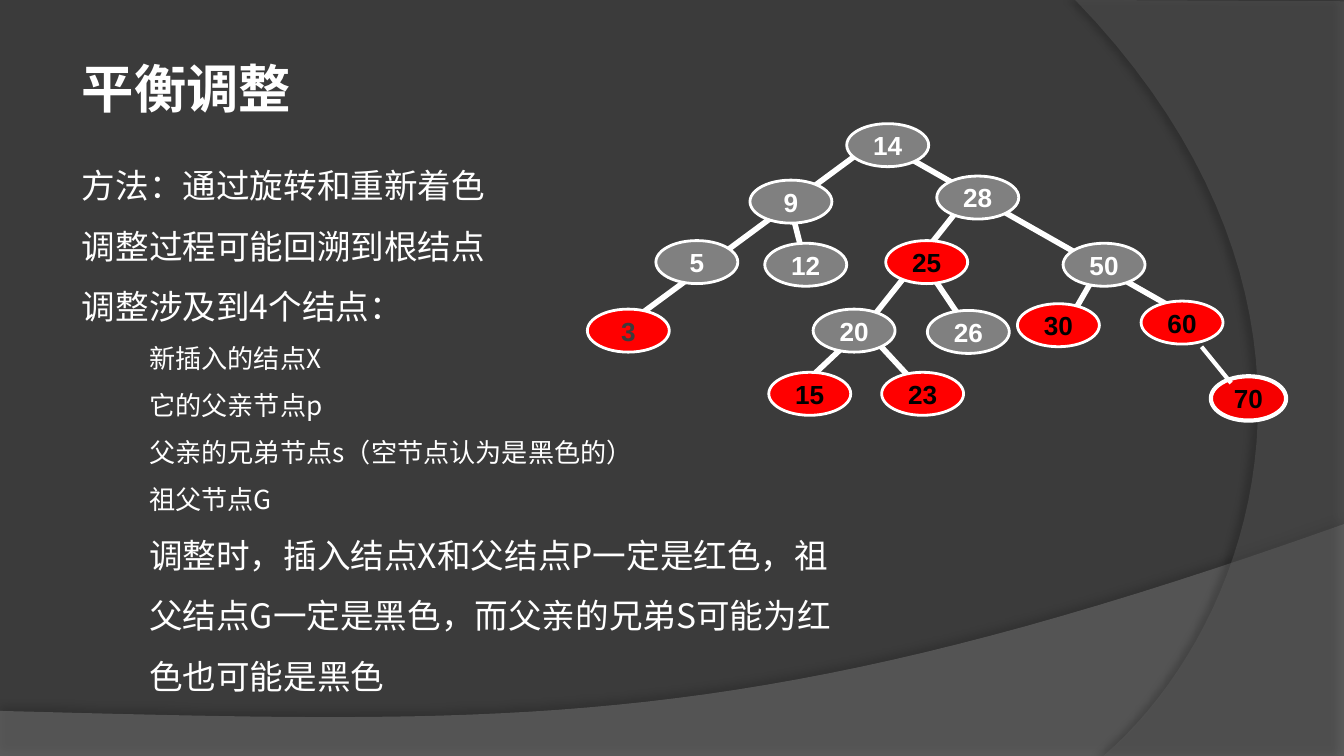
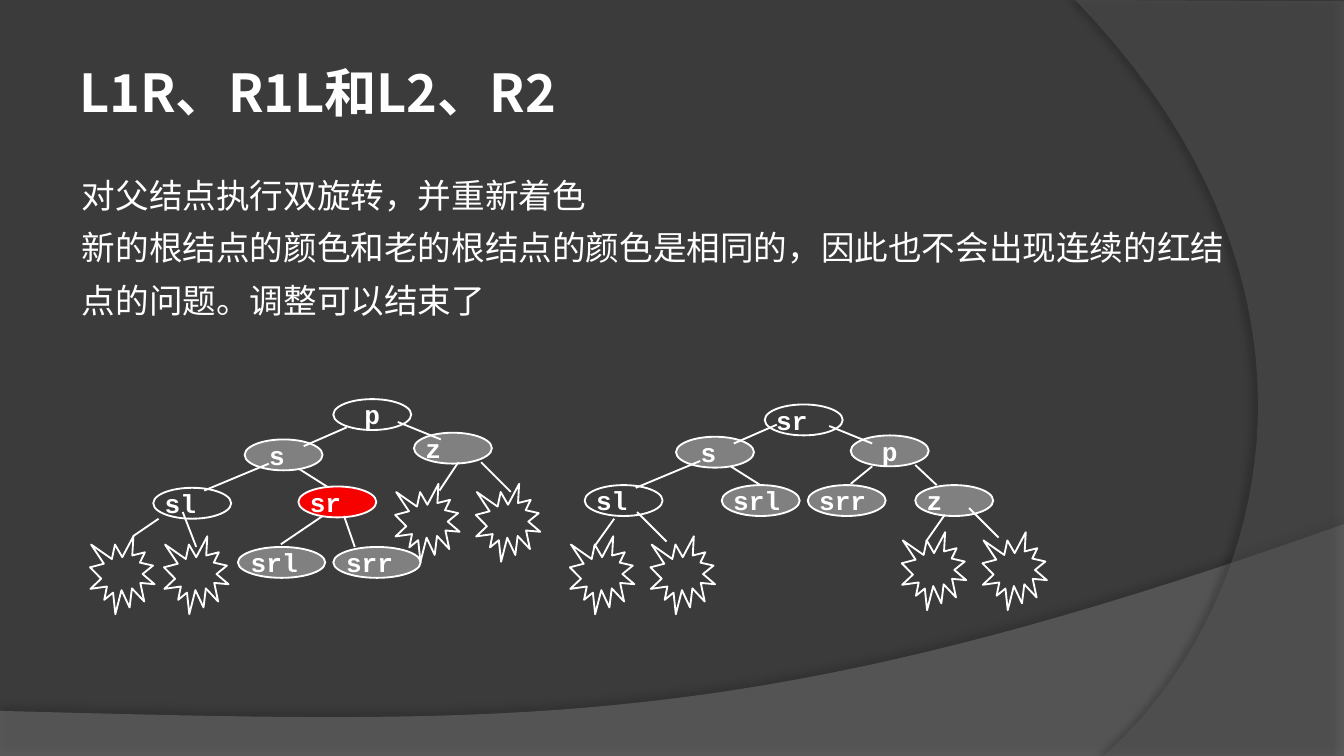
from dataclasses import dataclass
from typing import Any, Optional

import pptx
import pptx.dml.color
import pptx.enum.shapes
import pptx.enum.text
import pptx.oxml.ns
import pptx.util
from lxml import etree

ALIGN = pptx.enum.text.PP_ALIGN
ANCHOR = pptx.enum.text.MSO_ANCHOR
SHAPE = pptx.enum.shapes.MSO_SHAPE
qn = pptx.oxml.ns.qn
COLUMNS = 100
WIDTH = pptx.util.Inches(10)
HEIGHT = pptx.util.Inches(5.625)


@dataclass(frozen=True)
class Theme:
    ground: str = "3B3B3B"
    text: str = "FFFFFF"
    dark: str = "000000"
    black_node: str = "808080"
    red_node: str = "FF0000"
    deep_red: str = "F60000"
    bottom_wave: str = "7F7F7F"
    side_wave: str = "5E5E5E"
    cjk: str = "Noto Sans CJK SC"
    serif: str = "Times New Roman"
    sans: str = "Arial"
    mono: str = "Courier New"
    title_size: float = 28
    body_size: float = 18
    small_size: float = 14


THEME = Theme()


@dataclass(frozen=True)
class Wave:
    """A corner outline: straight points, then one Bezier curve from the last of them."""
    color: str
    opacity: int
    corners: tuple
    curve: tuple
    shadow_opacity: int
    shadow_distance: float
    shadow_angle: int


@dataclass(frozen=True)
class Line:
    text: str
    size: float = THEME.body_size
    level: int = 0
    indent: float = 0


@dataclass(frozen=True)
class NodeStyle:
    width: float
    height: float
    outline: float
    font: str
    inset: float = 0
    align: Any = ALIGN.CENTER


@dataclass(frozen=True)
class Node:
    label: str
    x: float
    y: float
    style: NodeStyle
    fill: Optional[str] = None
    ink: str = THEME.text


@dataclass(frozen=True)
class Subtrees:
    """Two burst shapes that stand for the subtrees of one node."""
    x: float
    y: float
    step: float = 6


WAVES = (
    Wave(THEME.bottom_wave, 45, ((0, 52.9), (0, 56.25), (100, 56.25), (100, 39)),
         ((55.9, 54.7), (39.1, 53.9), (0, 52.9)), 35, 3.5, 270),
    Wave(THEME.side_wave, 40, ((80, 0), (100, 0.1), (100, 56.25), (82.1, 56.25)),
         ((93.5, 46.4), (101.8, 22.5), (80, 0)), 45, 4, 180),
)

NUMBER = NodeStyle(6.1, 3.2, 1.5, THEME.sans, 1)
NEW_NUMBER = NodeStyle(5.6, 3.3, 2.25, THEME.sans)
CENTRED = NodeStyle(5.8, 2.3, 1, THEME.mono)
LEFT = NodeStyle(5.8, 2.3, 1, THEME.mono, 0, ALIGN.JUSTIFY)
INSET = NodeStyle(5.8, 2.3, 1, THEME.mono, 1, ALIGN.JUSTIFY)
WIDE = NodeStyle(6.5, 2.3, 1, THEME.mono, 0, ALIGN.JUSTIFY)

NUMBER_EDGES = (
    (63.9, 24, 69, 29.5), (68.6, 19.4, 72.3, 24.9), (82.1, 19.4, 79.1, 24.6),
    (63.5, 25.1, 58.8, 29.5), (58.8, 15.3, 60.1, 20.4), (72, 14.7, 63.9, 24.9),
    (67, 11.4, 89.2, 24), (63.9, 11.4, 45.6, 24.9),
)
BLACK_NUMBERS = (
    ("14", 63, 9.2), ("12", 56.9, 18.1), ("5", 48.8, 17.9), ("9", 55.8, 13.4),
    ("28", 69.7, 13.1), ("26", 69, 23.1), ("50", 79.1, 18.1), ("20", 60.5, 23),
)
RED_NUMBERS = (("15", 57.2, 27.7), ("60", 84.9, 22.4), ("25", 65.9, 17.9),
               ("30", 75.7, 22.6), ("23", 65.6, 27.7))
NUMBER_TREE = (
    *NUMBER_EDGES,
    *(Node(*n, NUMBER, THEME.black_node) for n in BLACK_NUMBERS),
    Node("3", 43.7, 23, NUMBER, THEME.red_node, THEME.ground),
    *(Node(*n, NUMBER, THEME.red_node, THEME.dark) for n in RED_NUMBERS),
)
NEW_LEAF = (Node("70", 90.1, 28, NEW_NUMBER, THEME.deep_red, THEME.dark),
            (89.4, 25.8, 91.6, 28.5))

BEFORE_ROTATION = (
    (21, 34.1, 24.8, 36.5),
    Node("p", 24.8, 29.7, CENTRED),
    Node("sr", 22.2, 36.2, LEFT, THEME.deep_red),
    Node("sl", 11.4, 36.3, LEFT),
    Node("s", 18.2, 32.7, INSET, THEME.black_node),
    Node("z", 30.8, 32.2, LEFT, THEME.black_node),
    Node("srl", 17.7, 40.7, WIDE, THEME.black_node),
    Node("srr", 24.8, 40.7, WIDE, THEME.black_node),
    (25.8, 31.8, 22.6, 33.2), (20, 34.5, 15.2, 36.5), (29.6, 31.4, 32.8, 32.7),
    (24, 38.4, 20.9, 40.5), (25.6, 38.4, 26.4, 40.7),
    Subtrees(29.4, 36), (34.1, 34.4, 32.7, 36.5), (35.8, 34.4, 38, 36.6),
    Subtrees(6.7, 39.9, 5.5), (11.8, 38.6, 9.9, 39.9), (13.6, 38.1, 14.6, 40.7),
)
AFTER_ROTATION = (
    (53.1, 33.9, 56.9, 36.3),
    Node("p", 63.3, 32.4, CENTRED, THEME.black_node),
    Node("sr", 56.9, 30.1, LEFT),
    Node("sl", 43.5, 36.1, LEFT),
    Node("s", 50.3, 32.5, INSET, THEME.black_node),
    Node("z", 68.1, 36.1, LEFT, THEME.black_node),
    Node("srl", 53.7, 36.1, LEFT, THEME.black_node),
    Node("srr", 60.1, 36.1, LEFT, THEME.black_node),
    (57.8, 31.6, 54.6, 33), (52.1, 34.3, 47.3, 36.3), (61.7, 31.7, 64.9, 33),
    (64.9, 34.7, 63.3, 36), (68.1, 34.6, 69.7, 36.1),
    Subtrees(67.1, 39.6), (70.3, 38.3, 68.9, 40.3), (72.1, 37.8, 74.3, 40),
    Subtrees(42.4, 39.9), (45.7, 38.6, 44.2, 40.7), (47.4, 38.1, 49.6, 40.3),
)

METHOD_LINES = (
    Line("方法：通过旋转和重新着色"),
    Line("调整过程可能回溯到根结点"),
    Line("调整涉及到4个结点："),
    *(Line(t, THEME.small_size, 1, 5) for t in (
        "新插入的结点X", "它的父亲节点p", "父亲的兄弟节点s（空节点认为是黑色的）", "祖父节点G")),
    Line("调整时，插入结点X和父结点P一定是红色，祖父结点G一定是黑色，"
         "而父亲的兄弟S可能为红色也可能是黑色", indent=5),
)
ROTATION_LINES = (
    Line("对父结点执行双旋转，并重新着色"),
    Line("新的根结点的颜色和老的根结点的颜色是相同的，因此也不会出现连续的红结点的问题。调整可以结束了"),
)


def cells(n: float) -> int:
    """Length of n square grid cells, 100 of which span the slide."""
    return round(n * WIDTH / COLUMNS)


def rgb(color: str) -> Any:
    return pptx.dml.color.RGBColor.from_string(color)


def assign(obj: Any, formats: dict) -> None:
    for name, value in formats.items():
        setattr(obj, name, value)


def write(p: Any, text: str, font: str, size: float, color: str, bold: bool) -> Any:
    r = p.add_run()
    r.text = text
    assign(r.font, dict(name=font, size=pptx.util.Pt(size), bold=bold))
    r.font.color.rgb = rgb(color)
    return r


def write_cjk(p: Any, text: str, font: str, size: float, bold: bool = False) -> None:
    r = write(p, text, font, size, THEME.text, bold)
    etree.SubElement(r.font._element, qn("a:ea"), typeface=THEME.cjk)


def place(sp: Any, left: float, top: float, width: float, height: float) -> None:
    assign(sp, dict(left=cells(left), top=cells(top), width=cells(width), height=cells(height)))
    assign(sp.text_frame, dict(word_wrap=True, vertical_anchor=ANCHOR.TOP,
                               auto_size=pptx.enum.text.MSO_AUTO_SIZE.SHAPE_TO_FIT_TEXT))


def add_title(s: Any, text: str, left: float, top: float) -> None:
    sp = s.shapes.title
    place(sp, left, top, 45.1, 5.7)
    p = sp.text_frame.paragraphs[0]
    p.alignment = ALIGN.LEFT
    write_cjk(p, text, THEME.cjk, THEME.title_size, True)


def add_body(s: Any, lines: tuple, box: tuple, font: str, spacing: float) -> None:
    sp = s.placeholders[1]
    place(sp, *box)
    tf = sp.text_frame
    for i, line in enumerate(lines):
        p = tf.add_paragraph() if i else tf.paragraphs[0]
        pPr = p._p.get_or_add_pPr()
        etree.SubElement(pPr, qn("a:buNone"))
        pPr.set("marL", str(cells(line.indent)))
        pPr.set("indent", "0")
        assign(p, dict(level=line.level, alignment=ALIGN.LEFT, line_spacing=spacing,
                       space_before=pptx.util.Pt(0), space_after=pptx.util.Pt(0)))
        write_cjk(p, line.text, font, line.size)


def add_edge(shapes: Any, ends: tuple, weight: float) -> None:
    c = shapes.add_connector(pptx.enum.shapes.MSO_CONNECTOR.STRAIGHT, *map(cells, ends))
    c.line.color.rgb = rgb(THEME.text)
    c.line.width = pptx.util.Pt(weight)
    etree.SubElement(c._element.spPr, qn("a:effectLst"))


def add_outlined(shapes: Any, kind: Any, box: tuple, weight: float, fill: Optional[str]) -> Any:
    sp = shapes.add_shape(kind, *map(cells, box))
    sp.shadow.inherit = False
    if fill:
        sp.fill.solid()
        sp.fill.fore_color.rgb = rgb(fill)
    else:
        sp.fill.background()
    sp.line.color.rgb = rgb(THEME.text)
    sp.line.width = pptx.util.Pt(weight)
    return sp


def add_node(shapes: Any, node: Node) -> None:
    style = node.style
    sp = add_outlined(shapes, SHAPE.OVAL, (node.x, node.y, style.width, style.height),
                      style.outline, node.fill)
    tf = sp.text_frame
    side, edge = cells(style.inset), cells(style.inset / 2)
    assign(tf, dict(word_wrap=True, vertical_anchor=ANCHOR.MIDDLE, margin_left=side,
                    margin_right=side, margin_top=edge, margin_bottom=edge))
    p = tf.paragraphs[0]
    p.alignment = style.align
    write(p, node.label, style.font, THEME.small_size, node.ink, True)


def add_tree(s: Any, parts: tuple, weight: float) -> None:
    """Draw the nodes, subtrees and edges of a tree, back to front, as one group."""
    shapes = s.shapes.add_group_shape().shapes
    for part in parts:
        if isinstance(part, Node):
            add_node(shapes, part)
        elif isinstance(part, Subtrees):
            for x in (part.x + part.step, part.x):
                add_outlined(shapes, SHAPE.EXPLOSION1, (x, part.y, 4.8, 5.8), weight, None)
        else:
            add_edge(shapes, part, weight)


def bezier(points: tuple, steps: int = 40) -> list:
    weights = (1, 3, 3, 1)
    return [tuple(sum(w * (1 - t) ** (3 - k) * t ** k * pt[axis]
                      for k, (w, pt) in enumerate(zip(weights, points)))
                  for axis in (0, 1))
            for t in (i / steps for i in range(1, steps + 1))]


def add_wave(s: Any, wave: Wave) -> Any:
    outline = [*wave.corners, *bezier((wave.corners[-1], *wave.curve))]
    start, *rest = [(cells(x), cells(y)) for x, y in outline]
    builder = s.shapes.build_freeform(*start)
    builder.add_line_segments(rest, close=True)
    sp = builder.convert_to_shape()
    sp.fill.solid()
    sp.fill.fore_color.rgb = rgb(wave.color)
    sp.line.fill.background()
    sp.shadow.inherit = False
    spPr = sp._element.spPr
    fill = spPr.find(qn("a:solidFill")).find(qn("a:srgbClr"))
    etree.SubElement(fill, qn("a:alpha"), val=str(wave.opacity * 1000))
    shadow = etree.SubElement(
        spPr.find(qn("a:effectLst")), qn("a:outerShdw"), blurRad=str(pptx.util.Pt(4)),
        dist=str(pptx.util.Pt(wave.shadow_distance)), dir=str(wave.shadow_angle * 60000),
        algn="ctr", rotWithShape="0")
    tint = etree.SubElement(shadow, qn("a:srgbClr"), val="000000")
    etree.SubElement(tint, qn("a:alpha"), val=str(wave.shadow_opacity * 1000))
    return sp


def dress_master(prs: Any, s: Any) -> None:
    """Give the master its ground and waves; the waves are built on s and moved."""
    master = prs.slide_master
    master.background.fill.solid()
    master.background.fill.fore_color.rgb = rgb(THEME.ground)
    for i, wave in enumerate(WAVES):
        master.shapes.element.insert(2 + i, add_wave(s, wave)._element)


def main() -> None:
    prs = pptx.Presentation()
    assign(prs, dict(slide_width=WIDTH, slide_height=HEIGHT))
    layout = prs.slide_layouts[1]

    s = prs.slides.add_slide(layout)
    dress_master(prs, s)
    add_title(s, "平衡调整", 5.1, 3.7)
    add_body(s, METHOD_LINES, (5.1, 10.3, 59.1, 45.9), THEME.cjk, 1.5)
    add_tree(s, NUMBER_TREE, 3)
    add_tree(s, NEW_LEAF, 2.25)

    s = prs.slides.add_slide(layout)
    add_title(s, "L1R、R1L和L2、R2", 4.9, 4)
    add_body(s, ROTATION_LINES, (5.1, 11.6, 87.4, 12.8), THEME.serif, 1.3)
    add_tree(s, BEFORE_ROTATION, 1)
    add_tree(s, AFTER_ROTATION, 1)

    prs.save("out.pptx")


if __name__ == "__main__":
    main()
